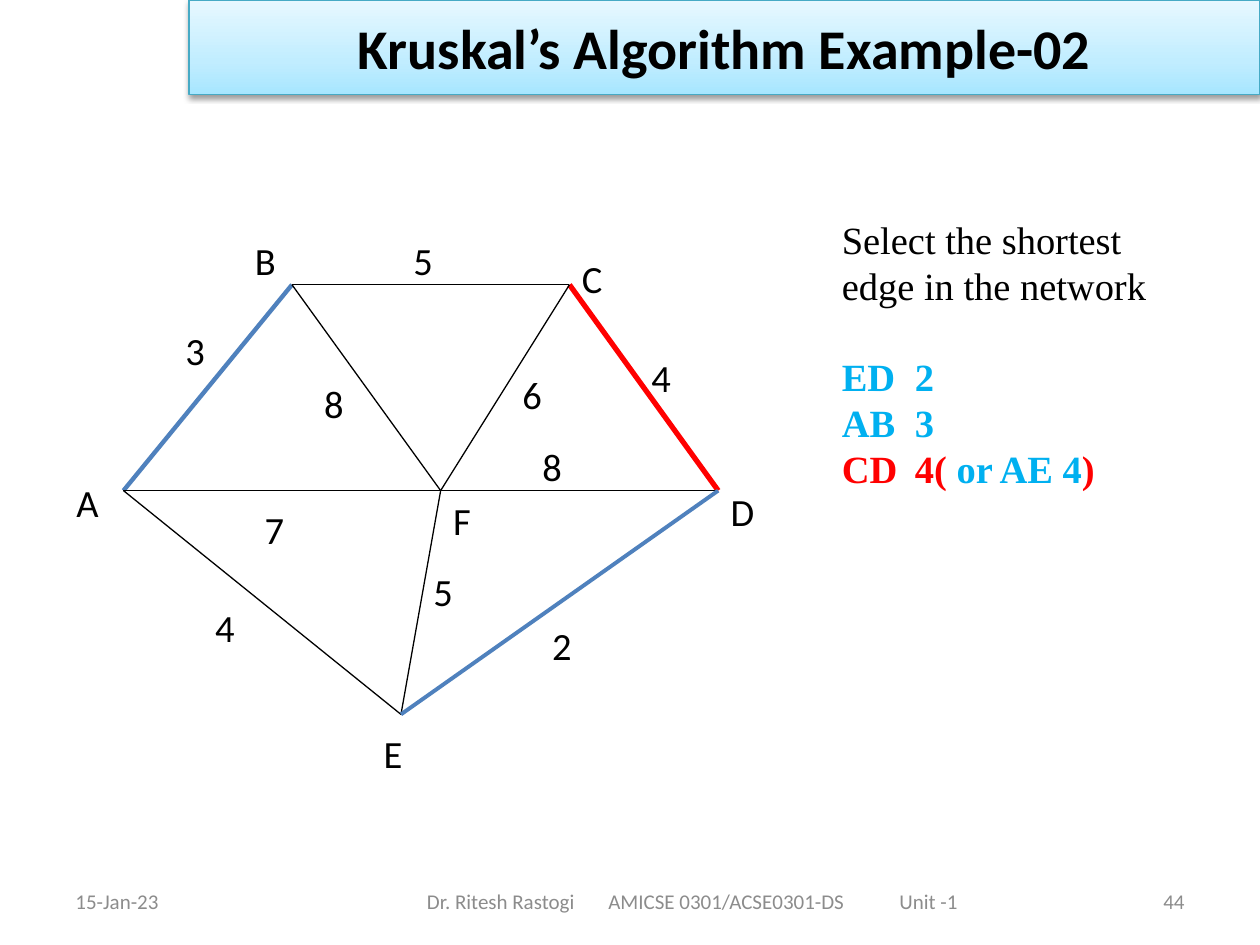
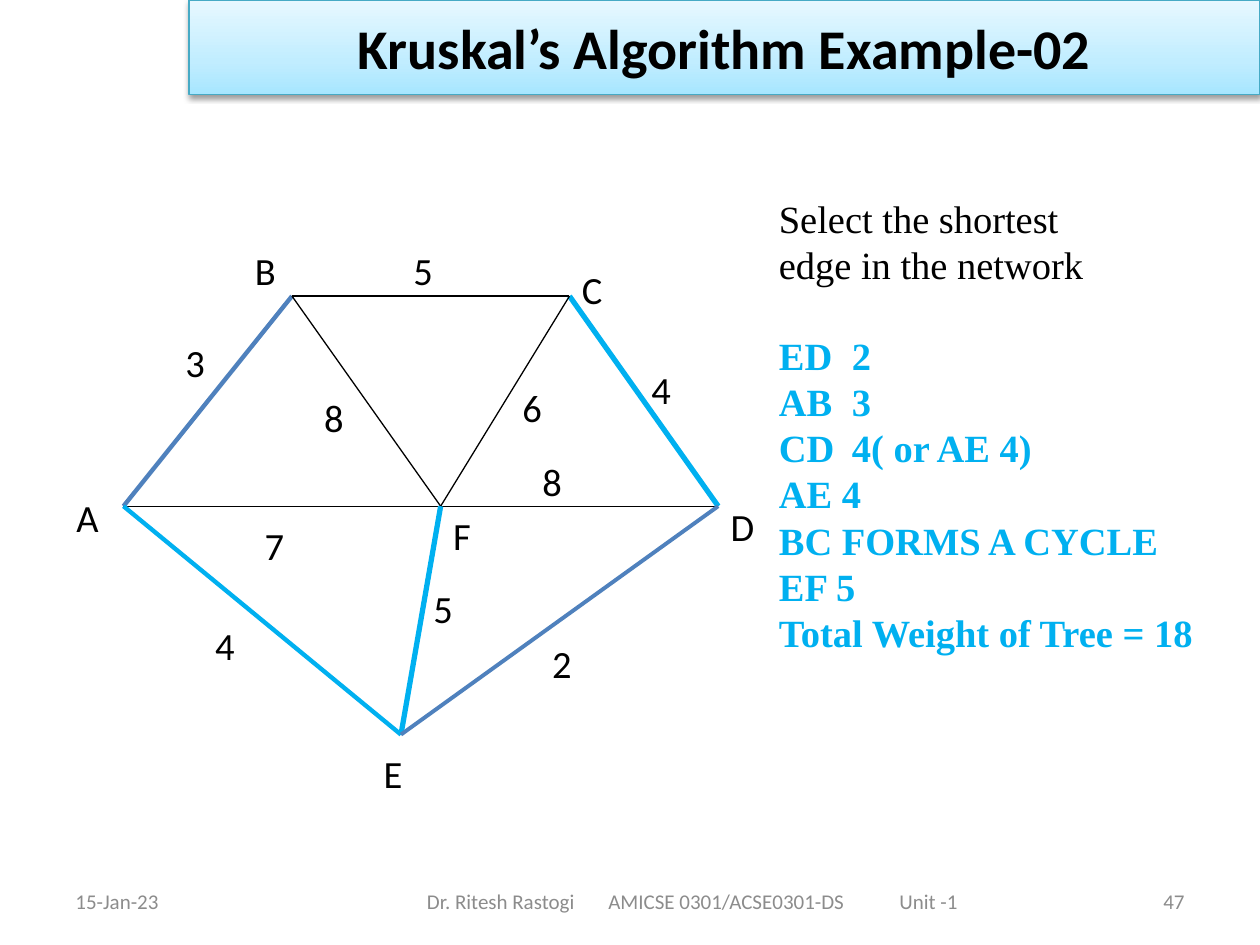
import copy
import pptx
import pptx.dml.color
import pptx.enum.shapes
import pptx.enum.text
import pptx.oxml
import pptx.oxml.ns
import pptx.util

COLS, ROWS = 120, 90
UNIT = pptx.util.Inches(10) / COLS
BLACK, GREY, STEEL, SKY, RED = "000000", "8C8C8C", "4F81BD", "00B0F0", "FF0000"
SANS, SERIF = "Calibri", "Times New Roman"
ALIGN = pptx.enum.text.PP_ALIGN
MIDDLE = pptx.enum.text.MSO_ANCHOR.MIDDLE

GRAPH_COLS, GRAPH_ROWS, LABEL = 60, 48, 6
NODES = {"A": (0, 23), "B": (17, 0), "C": (45, 0), "D": (60, 23), "E": (28, 48), "F": (32, 23)}
EDGES = ["AB", "BC", "CD", "AF", "FD", "BF", "FC", "AE", "EF", "ED"]
LABELS = [
    ("A", -6, 21), ("F", 32, 23), ("B", 12, -6), ("C", 45, -4), ("D", 60, 22), ("E", 25, 49),
    ("2", 42, 37), ("7", 13, 24), ("4", 8, 35), ("5", 30, 31), ("8", 19, 10), ("6", 39, 9),
    ("4", 52, 7), ("5", 28, -6), ("3", 5, 4), ("8", 41, 17),
]


def rgb(value):
    return pptx.dml.color.RGBColor.from_string(value)


def emu(*units):
    return [round(n * UNIT) for n in units]


def add_xml(parent, tag, body):
    ns = pptx.oxml.ns.nsdecls("a")
    parent.append(pptx.oxml.parse_xml(f"<a:{tag} {ns}>{body}</a:{tag}>"))


def write(p, text, size=22, font=SANS, color=BLACK, bold=False, align=ALIGN.LEFT, before=0, tabs=()):
    if tabs:
        stops = "".join(f'<a:tab pos="{pptx.util.Inches(t)}" algn="l"/>' for t in tabs)
        add_xml(p._p.get_or_add_pPr(), "tabLst", stops)
    p.alignment = align
    if before:
        p.space_before = pptx.util.Pt(before)
    r = p.add_run()
    r.text = text
    r.font.size = pptx.util.Pt(size)
    r.font.name = font
    r.font.bold = bold
    r.font.color.rgb = rgb(color)


def add_box(slide, box):
    tf = slide.shapes.add_textbox(*emu(*box)).text_frame
    tf.word_wrap = True
    return tf


def add_title(slide, box, text):
    sp = slide.shapes.add_shape(pptx.enum.shapes.MSO_SHAPE.RECTANGLE, *emu(*box))
    sp.fill.gradient()
    sp.fill.gradient_angle = 90
    stop_list = sp._element.spPr.find(".//" + pptx.oxml.ns.qn("a:gsLst"))
    stop_list.insert(1, copy.deepcopy(stop_list[0]))
    stops = [(0, "A7E6FF"), (0.35, "C1EDFF"), (1, "E7F8FF")]
    for stop, (position, color) in zip(sp.fill.gradient_stops, stops):
        stop.position = position
        stop.color.rgb = rgb(color)
    sp.line.color.rgb = rgb("46AAC5")
    sp.line.width = pptx.util.Pt(0.75)
    sp.shadow.inherit = False
    effects = sp._element.spPr.find(pptx.oxml.ns.qn("a:effectLst"))
    add_xml(effects, 'outerShdw', '<a:srgbClr val="000000"><a:alpha val="38000"/></a:srgbClr>')
    for name, value in (("blurRad", 40000), ("dist", 20000), ("dir", 5400000), ("rotWithShape", 0)):
        effects[0].set(name, str(value))
    sp.text_frame.vertical_anchor = MIDDLE
    write(sp.text_frame.paragraphs[0], text, size=32, bold=True, align=ALIGN.CENTER)


def add_footer(slide, box, number):
    x, y, w, h = box
    side = 28
    parts = [
        (x, side, "15-Jan-23", ALIGN.LEFT, ()),
        (x + 33.48, 60, "Dr. Ritesh Rastogi\tAMICSE 0301/ACSE0301-DS\tUnit -1", ALIGN.LEFT, (1.44, 3.75)),
        (x + w - side, side, str(number), ALIGN.RIGHT, ()),
    ]
    for left, width, text, align, tabs in parts:
        tf = add_box(slide, (left, y, width, h))
        tf.vertical_anchor = MIDDLE
        write(tf.paragraphs[0], text, size=12, color=GREY, align=align, tabs=tabs)


def add_graph(slide, box, chosen):
    x, y, w, h = box

    def place(col, row):
        return x + col * w / GRAPH_COLS, y + row * h / GRAPH_ROWS

    for edge in EDGES:
        color, width = chosen.get(edge, (BLACK, 0.75))
        start, end = (place(*NODES[node]) for node in edge)
        line = slide.shapes.add_connector(
            pptx.enum.shapes.MSO_CONNECTOR.STRAIGHT, *emu(*start, *end))
        line.line.color.rgb = rgb(color)
        line.line.width = pptx.util.Pt(width)
        add_xml(line._element.spPr, "effectLst", "")
    side = LABEL * w / GRAPH_COLS
    for text, col, row in LABELS:
        tf = add_box(slide, (*place(col, row), side, side))
        write(tf.paragraphs[0], text)


def add_steps(slide, box, steps):
    tf = add_box(slide, box)
    write(tf.paragraphs[0], "Select the shortest", font=SERIF)
    write(tf.add_paragraph(), "edge in the network", font=SERIF)
    for i, runs in enumerate(steps):
        p = tf.add_paragraph()
        for j, (text, color) in enumerate(runs):
            write(p, text, font=SERIF, color=color, bold=True,
                  before=25.3 if i == 0 else 0, tabs=(0.58,) if j == 0 else ())


def add_example(prs, number, graph_box, chosen, steps_box, steps):
    slide = prs.slides.add_slide(prs.slide_layouts[6])
    add_footer(slide, (6, 83.4, 108, 4.8), number)
    add_title(slide, (18, 0, 102, 9), "Kruskal’s Algorithm Example-02")
    add_graph(slide, graph_box, {"AB": (STEEL, 2.5), "ED": (STEEL, 2.25), **chosen})
    add_steps(slide, steps_box, steps)


def main():
    prs = pptx.Presentation()
    prs.slide_width, prs.slide_height = emu(COLS, ROWS)
    first = [[("ED\t2", SKY)], [("AB\t3", SKY)]]
    add_example(
        prs, 44, (11.76, 27.12, 56.64, 40.92), {"CD": (RED, 3)}, (79, 20, 35, 36.7),
        first + [[("CD\t4( ", RED), ("or AE 4", SKY), (")", RED)]])
    later = ["CD\t4( or AE 4)", "AE 4", "BC FORMS A CYCLE", "EF 5", "Total Weight of Tree = 18"]
    add_example(
        prs, 47, (11.76, 28.2, 56.64, 41.76),
        {"CD": (SKY, 3), "AE": (SKY, 2.5), "EF": (SKY, 3)}, (73, 18, 44, 54.5),
        first + [[(text, SKY)] for text in later])
    prs.save("out.pptx")


if __name__ == "__main__":
    main()
